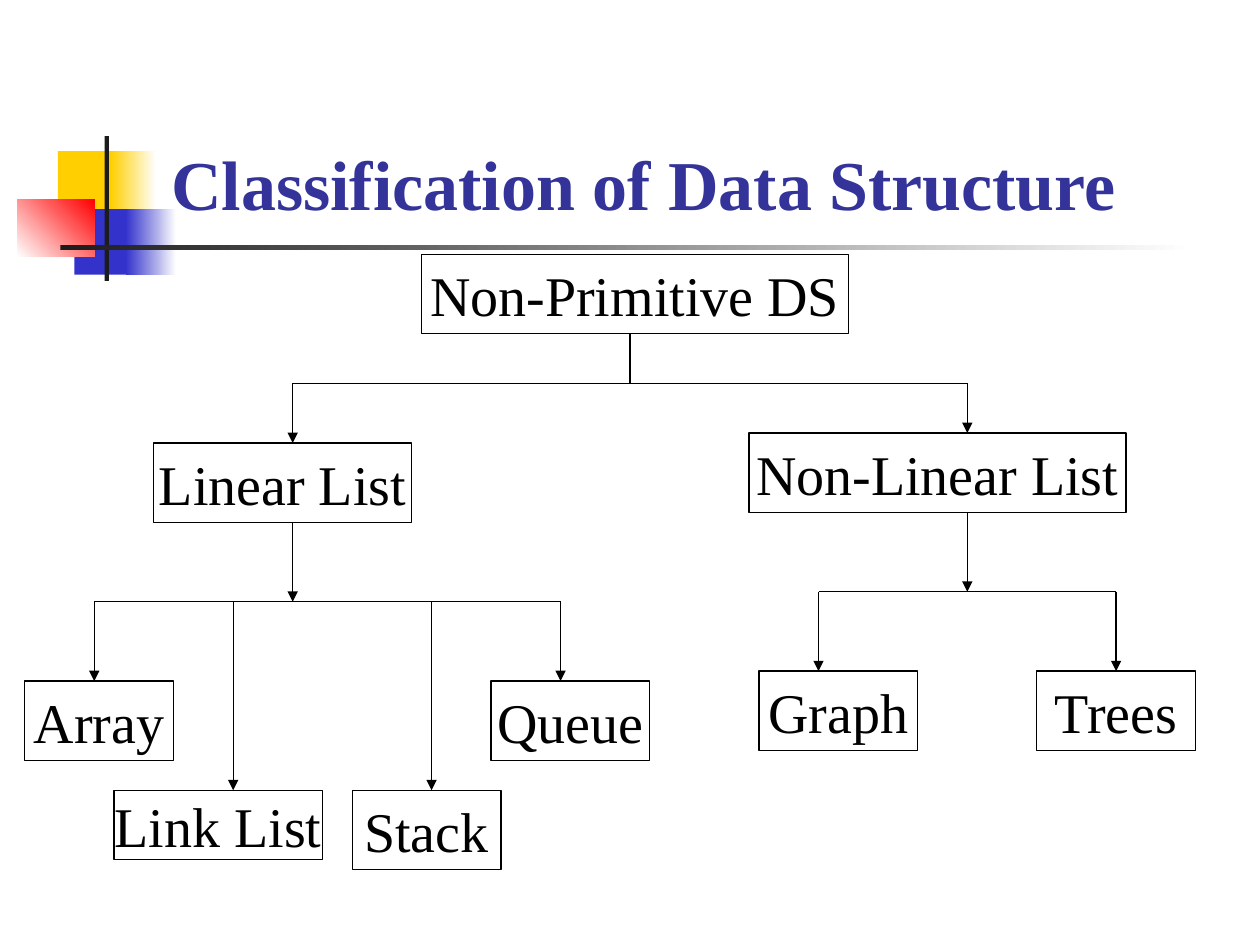
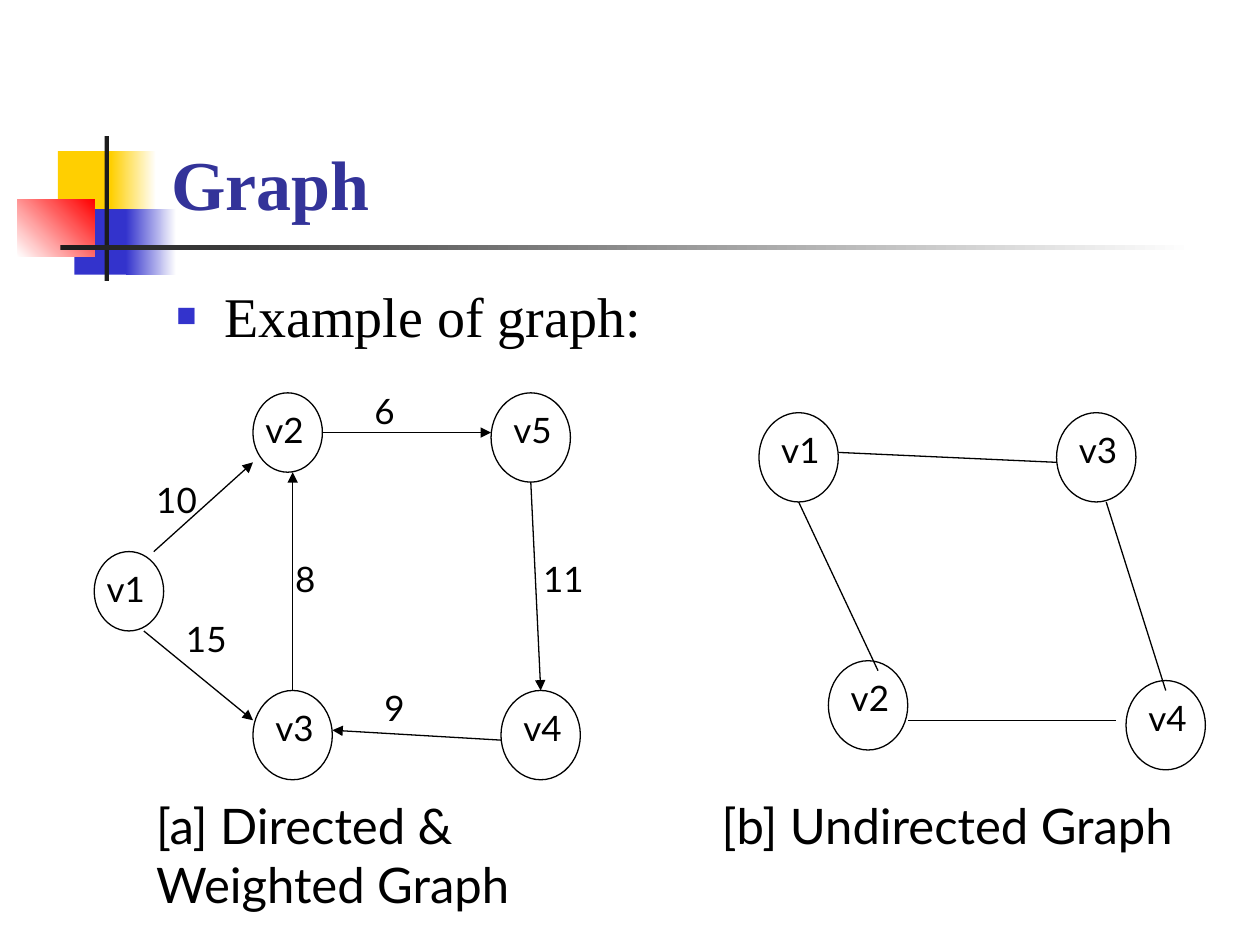
from pptx import Presentation, util as u
from pptx.dml.color import RGBColor
from pptx.enum import shapes, text
from pptx.oxml import parse_xml
from pptx.oxml.ns import nsdecls, qn

# Shared look
SERIF, SANS = "Times New Roman", "Lato"
BLACK, WHITE, INK = "000000", "FFFFFF", "1C1C1C"
YELLOW, BLUE, RED, NAVY = "FFCF01", "3333CC", "FF0000", "333399"
RECTANGLE, OVAL = shapes.MSO_SHAPE.RECTANGLE, shapes.MSO_SHAPE.OVAL

# The slide is 127 columns wide; rows are as tall as columns are wide
WIDTH, HEIGHT = u.Inches(10), u.Inches(7.5)
CELL = WIDTH / 127


def color(hex_value):
    return RGBColor.from_string(hex_value)


def grid(origin, column, row):
    return round((origin[0] + column) * CELL), round((origin[1] + row) * CELL)


def share(left, top, width, height):
    """Turn percentages of the slide's size into a box."""
    return [round(part * side / 100) for part, side in
            zip((left, top, width, height), (WIDTH, HEIGHT) * 2)]


def place(shape, box):
    shape.left, shape.top, shape.width, shape.height = box


def write(paragraph, words, size, font, ink=BLACK, bold=False):
    paragraph.space_before = u.Pt(0)
    run = paragraph.add_run()
    run.text = words
    run.font.size, run.font.name, run.font.bold = u.Pt(size), font, bold
    run.font.color.rgb = color(ink)


def add_outlined(slide, kind, origin, cells):
    column, row, width, height = cells
    shape = slide.shapes.add_shape(kind, *grid(origin, column, row),
                                   *grid((0, 0), width, height))
    shape.shadow.inherit = False
    shape.fill.solid()
    shape.fill.fore_color.rgb = color(WHITE)
    shape.line.color.rgb = color(BLACK)
    shape.line.width = u.Pt(0.75)
    return shape


def add_line(slide, origin, start, end, arrow=False):
    line = slide.shapes.add_connector(shapes.MSO_CONNECTOR.STRAIGHT,
                                      *grid(origin, *start), *grid(origin, *end))
    line.line.color.rgb = color(BLACK)
    line.line.width = u.Pt(0.75)
    properties = line.element.spPr
    if arrow:
        properties.find(qn("a:ln")).append(
            parse_xml(f'<a:tailEnd {nsdecls("a")} type="triangle"/>'))
    properties.append(parse_xml(f'<a:effectLst {nsdecls("a")}/>'))


def add_label(slide, origin, cells, words, size=20):
    column, row, width, height = cells
    label = slide.shapes.add_textbox(*grid(origin, column, row),
                                     *grid((0, 0), width, height))
    label.text_frame.word_wrap = True
    write(label.text_frame.paragraphs[0], words, size, SANS)


# Master decoration: colour blocks, vertical bar and title rule
def decorate_master(presentation, slide):
    blocks = [
        ((4.6, 16, 4.8, 6.93), [YELLOW], 0),
        ((8.8, 16, 3.6, 6.93), [YELLOW, WHITE], 0),
        ((5.9, 22.13, 4.6, 6.93), [BLUE], 0),
        ((10, 22.13, 4, 6.93), [BLUE, WHITE], 0),
        ((1.4, 21.07, 6.1, 6.13), [WHITE, RED], 45),
        ((8.3, 14.4, 0.35, 15.33), [INK], 0),
        ((4.8, 25.93, 90, 0.5), [INK, WHITE], 0),
    ]
    tree = presentation.slide_master.shapes.element
    for index, (box, hues, angle) in enumerate(blocks):
        block = slide.shapes.add_shape(RECTANGLE, *share(*box))
        block.shadow.inherit = False
        block.line.fill.background()
        if len(hues) == 1:
            block.fill.solid()
            block.fill.fore_color.rgb = color(hues[0])
        else:
            block.fill.gradient()
            block.fill.gradient_angle = angle
            for stop, hue in zip(block.fill.gradient_stops, hues):
                stop.color.rgb = color(hue)
        block.element.nvSpPr.cNvPr.id = 100 + index
        tree.insert(2 + index, block.element)


def set_title(slide, words):
    title = slide.shapes.title
    place(title, share(12.6, 3.07, 85.2, 21.33))
    frame = title.text_frame
    frame.vertical_anchor = text.MSO_ANCHOR.BOTTOM
    frame.auto_size = text.MSO_AUTO_SIZE.NONE
    paragraph = frame.paragraphs[0]
    paragraph.alignment = text.PP_ALIGN.LEFT
    write(paragraph, words, 40, SERIF, NAVY, bold=True)


def set_bullet(slide, words):
    body = slide.placeholders[1]
    place(body, share(13, 29.07, 85, 60))
    body.text_frame.auto_size = text.MSO_AUTO_SIZE.NONE
    paragraph = body.text_frame.paragraphs[0]
    properties = paragraph._p.get_or_add_pPr()
    properties.set("marL", str(u.Inches(0.38)))
    properties.set("indent", str(-u.Inches(0.38)))
    for mark in (f'buClr {nsdecls("a")}><a:srgbClr val="{BLUE}"/></a:buClr',
                 f'buSzPct {nsdecls("a")} val="60000"/',
                 f'buFont {nsdecls("a")} typeface="{SERIF}"/',
                 f'buChar {nsdecls("a")} char="■"/'):
        properties.append(parse_xml(f"<a:{mark}>"))
    write(paragraph, words, 32, SERIF)


# Tree of boxes joined by bars with arrows
def draw_tree(slide, origin, nodes, branches):
    for words, cells in nodes.items():
        node = add_outlined(slide, RECTANGLE, origin, cells)
        frame = node.text_frame
        frame.word_wrap = False
        frame.vertical_anchor = text.MSO_ANCHOR.MIDDLE
        frame.paragraphs[0].alignment = text.PP_ALIGN.CENTER
        write(frame.paragraphs[0], words, 32, SERIF)
    for parent, stem, bar, stem_arrow, children in branches:
        _, top, _, height = nodes[parent]
        add_line(slide, origin, (stem, top + height), (stem, bar), stem_arrow)
        drops = children.values()
        add_line(slide, origin, (min(drops), bar), (max(drops), bar))
        for child, drop in children.items():
            add_line(slide, origin, (drop, bar), (drop, nodes[child][1]), True)


# Graph of named vertices, edges with optional weights, and a caption
def draw_graph(slide, origin, vertices, edges, caption, directed=False):
    for words, (column, row, width, height) in vertices.items():
        add_outlined(slide, OVAL, origin, (column, row, width, height))
        add_label(slide, origin, (column + width - 7, row + 1, 7, 5.6), words)
    for start, end, *weight in edges:
        add_line(slide, origin, start, end, directed)
        if weight:
            words, column, row = weight
            add_label(slide, origin, (column, row, 7, 5.6), words)
    words, *cells = caption
    add_label(slide, origin, cells, words, 28)


def build_classification(slide):
    set_title(slide, "Classification of Data Structure")
    nodes = {
        "Non-Primitive DS": (40, 0, 43, 8),
        "Linear List": (13, 19, 26, 8),
        "Non-Linear List": (73, 18, 38, 8),
        "Array": (0, 43, 15, 8),
        "Link List": (9, 54, 21, 7),
        "Stack": (33, 54, 15, 8),
        "Queue": (47, 43, 16, 8),
        "Graph": (74, 42, 16, 8),
        "Trees": (102, 42, 16, 8),
    }
    # Parent, stem column, bar row, arrow on stem, drop column of each child
    branches = [
        ("Non-Primitive DS", 61, 13, False, {"Linear List": 27, "Non-Linear List": 95}),
        ("Linear List", 27, 35, True,
         {"Array": 7, "Link List": 21, "Stack": 41, "Queue": 54}),
        ("Non-Linear List", 95, 34, True, {"Graph": 80, "Trees": 110}),
    ]
    draw_tree(slide, (2.5, 25.65), nodes, branches)


def build_graphs(slide):
    set_title(slide, "Graph")
    set_bullet(slide, "Example of graph:")
    small, large = (7, 8), (8, 9)
    draw_graph(
        slide, (9.5, 38.6),
        {"v1": (0, 17, *small), "v2": (16, 1, *small), "v3": (16, 31, *large),
         "v4": (41, 31, *large), "v5": (40, 1, *large)},
        [((6, 17), (16, 8), "10", 5, 9),
         ((5, 25), (16, 34), "15", 8, 23),
         ((20, 31), (20, 9), "8", 19, 17),
         ((23, 5), (40, 5), "6", 27, 0),
         ((44, 10), (45, 31), "11", 44, 17),
         ((41, 36), (24, 35), "9", 28, 30)],
        ("[a] Directed & Weighted Graph", 5, 41, 52, 13.2), directed=True)
    draw_graph(
        slide, (76.5, 41.6),
        {"v1": (0, 0, *large), "v2": (7, 25, *large),
         "v3": (30, 0, *large), "v4": (37, 27, *large)},
        [((8, 4), (30, 5)), ((15, 31), (36, 31)),
         ((4, 9), (12, 26)), ((35, 9), (41, 28))],
        ("[b] Undirected Graph", -5, 38, 52, 7.2))


def main():
    presentation = Presentation()
    presentation.slide_width, presentation.slide_height = WIDTH, HEIGHT
    title_only, title_and_body = (presentation.slide_layouts[i] for i in (5, 1))
    classification = presentation.slides.add_slide(title_only)
    decorate_master(presentation, classification)
    build_classification(classification)
    build_graphs(presentation.slides.add_slide(title_and_body))
    presentation.save("out.pptx")


if __name__ == "__main__":
    main()
